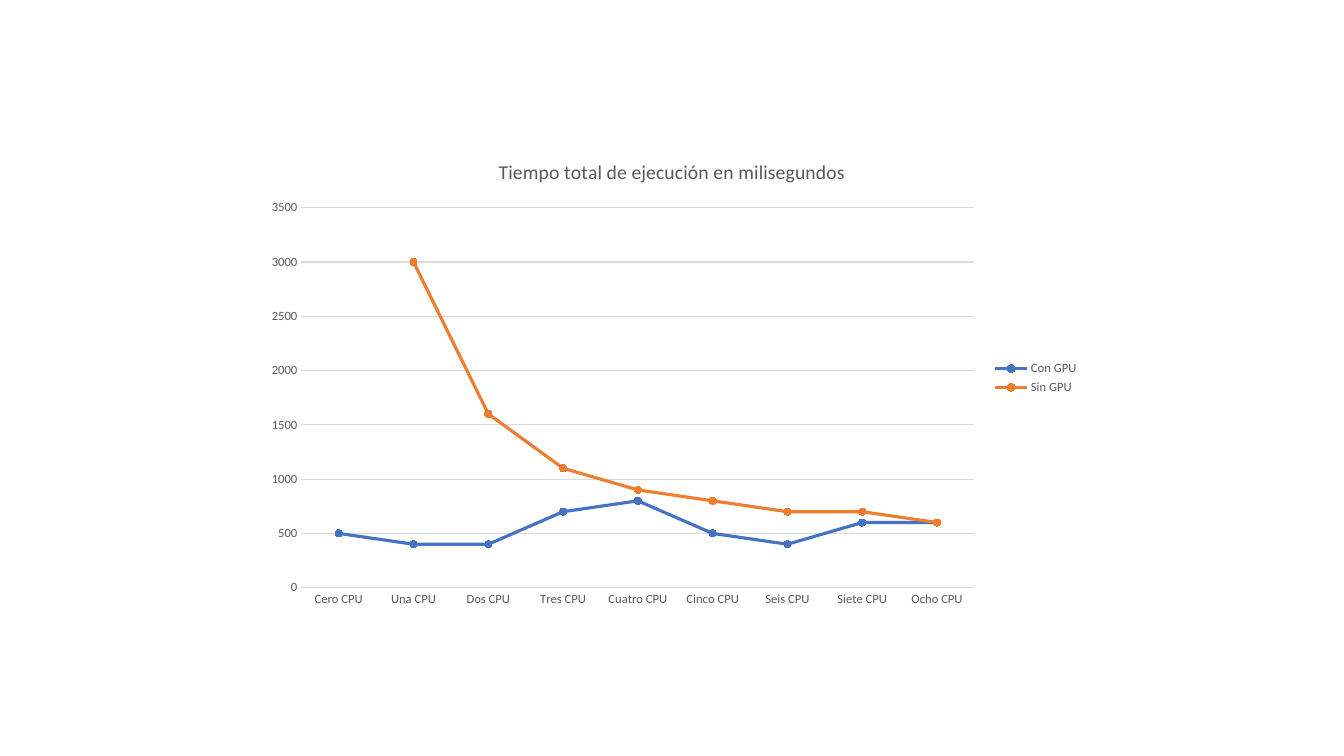
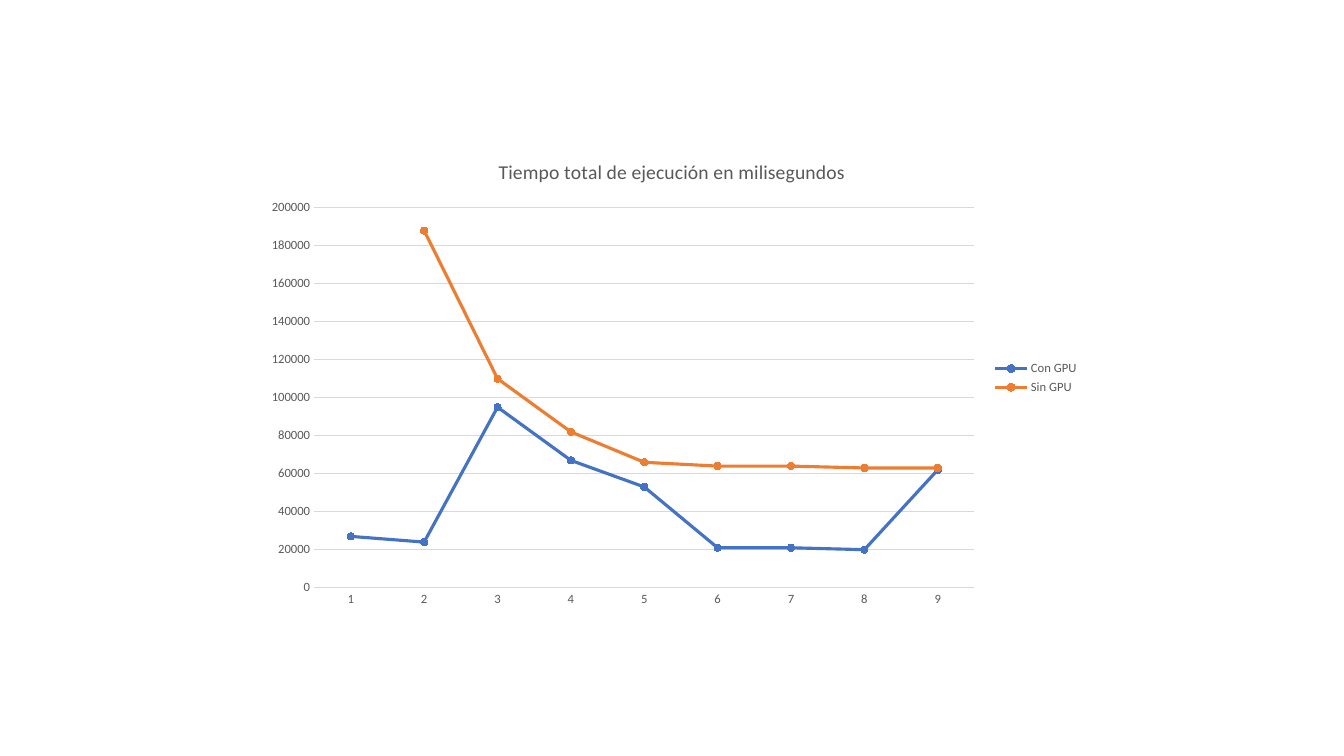
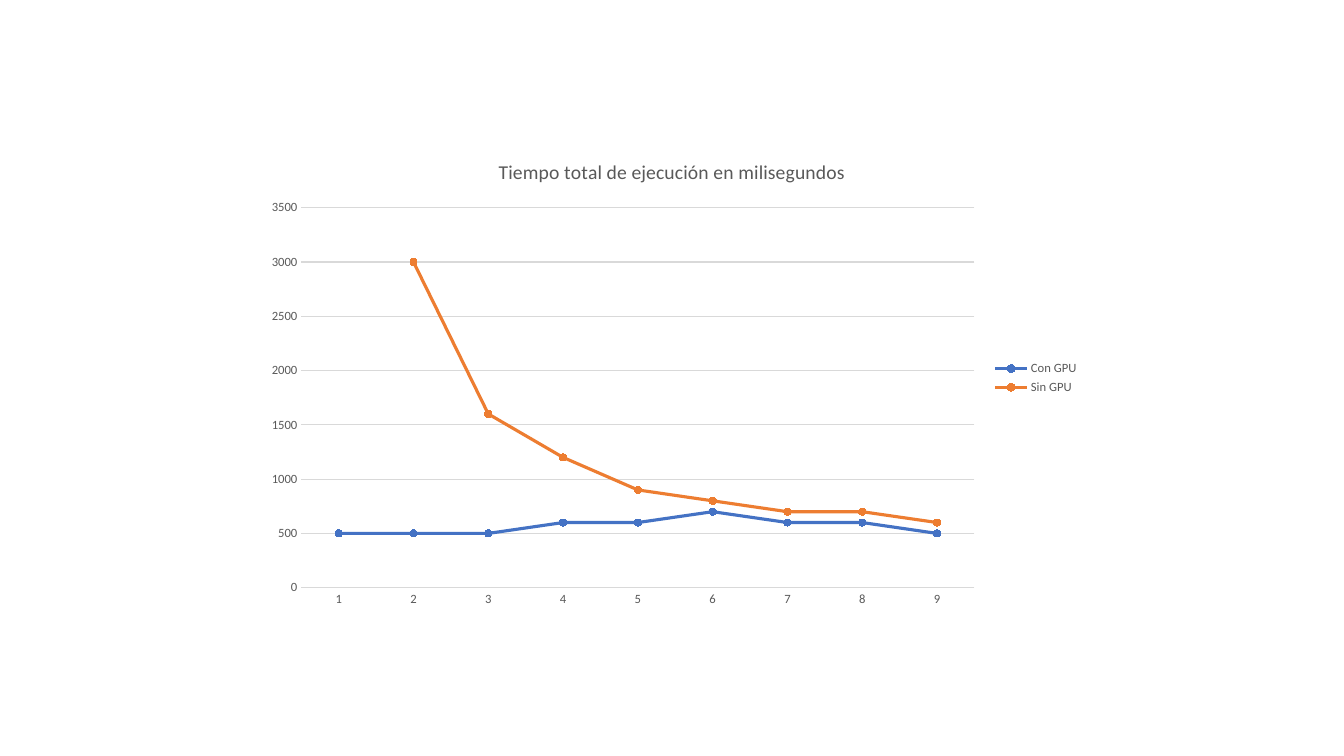
from pptx import Presentation
from pptx.chart.data import CategoryChartData
from pptx.dml.color import RGBColor
from pptx.enum.chart import XL_CHART_TYPE, XL_LEGEND_POSITION, XL_MARKER_STYLE, XL_TICK_MARK
from pptx.util import Inches, Pt

# Shared style
FONT = "Calibri"
GRAY = RGBColor(0x59, 0x59, 0x59)
LIGHT_GRAY = RGBColor(0xD9, 0xD9, 0xD9)
BLUE = RGBColor(0x44, 0x72, 0xC4)
ORANGE = RGBColor(0xED, 0x7D, 0x31)
TITLE = "Tiempo total de ejecución en milisegundos"


def format_font(font, size=9, color=GRAY):
    font.name = FONT
    font.size = Pt(size)
    font.bold = False
    font.color.rgb = color


def write_text(text_frame, text, **font_format):
    text_frame.text = text
    format_font(text_frame.paragraphs[0].runs[0].font, **font_format)


# Data of each slide: categories, axis maximum and step, times with and without GPU
CPU_NAMES = [f"{count} CPU" for count in (
    "Cero", "Una", "Dos", "Tres", "Cuatro", "Cinco", "Seis", "Siete", "Ocho")]
NUMBERS = [str(number) for number in range(1, 10)]
MEASUREMENTS = [
    (CPU_NAMES, 3500, 500,
     [500, 400, 400, 700, 800, 500, 400, 600, 600],
     [None, 3000, 1600, 1100, 900, 800, 700, 700, 600]),
    (NUMBERS, 200000, 20000,
     [27000, 24000, 95000, 67000, 53000, 21000, 21000, 20000, 62000],
     [None, 188000, 110000, 82000, 66000, 64000, 64000, 63000, 63000]),
    (NUMBERS, 3500, 500,
     [500, 500, 500, 600, 600, 700, 600, 600, 500],
     [None, 3000, 1600, 1200, 900, 800, 700, 700, 600]),
]

presentation = Presentation()
presentation.slide_width = Inches(13.33)
presentation.slide_height = Inches(7.5)
blank_layout = presentation.slide_layouts[6]

for categories, maximum, step, with_gpu, without_gpu in MEASUREMENTS:
    slide = presentation.slides.add_slide(blank_layout)

    # Line chart
    chart_data = CategoryChartData(number_format="General")
    chart_data.categories = categories
    chart_data.add_series("Con GPU", with_gpu)
    chart_data.add_series("Sin GPU", without_gpu)
    chart = slide.shapes.add_chart(
        XL_CHART_TYPE.LINE_MARKERS, Inches(2.53), Inches(1.39),
        Inches(8.27), Inches(4.72), chart_data).chart
    format_font(chart.font)

    # Title and legend
    write_text(chart.chart_title.text_frame, TITLE, size=14)
    chart.chart_title.include_in_layout = False
    chart.has_legend = True
    chart.legend.position = XL_LEGEND_POSITION.RIGHT
    chart.legend.include_in_layout = False
    format_font(chart.legend.font)

    # Axes and gridlines
    category_axis, value_axis = chart.category_axis, chart.value_axis
    for axis in (category_axis, value_axis):
        axis.major_tick_mark = XL_TICK_MARK.NONE
        axis.minor_tick_mark = XL_TICK_MARK.NONE
        format_font(axis.tick_labels.font)
    value_axis.minimum_scale = 0
    value_axis.maximum_scale = maximum
    value_axis.major_unit = step
    value_axis.format.line.fill.background()
    value_axis.has_major_gridlines = True
    for line in (category_axis.format.line, value_axis.major_gridlines.format.line):
        line.color.rgb = LIGHT_GRAY
        line.width = Pt(0.75)

    # Series
    plot = chart.plots[0]
    plot.vary_by_categories = False
    for series, color in zip(plot.series, (BLUE, ORANGE)):
        series.smooth = False
        series.format.line.color.rgb = color
        series.format.line.width = Pt(2.25)
        marker = series.marker
        marker.style = XL_MARKER_STYLE.CIRCLE
        marker.size = 5
        marker.format.fill.solid()
        marker.format.fill.fore_color.rgb = color
        marker.format.line.color.rgb = color

presentation.save("out.pptx")
